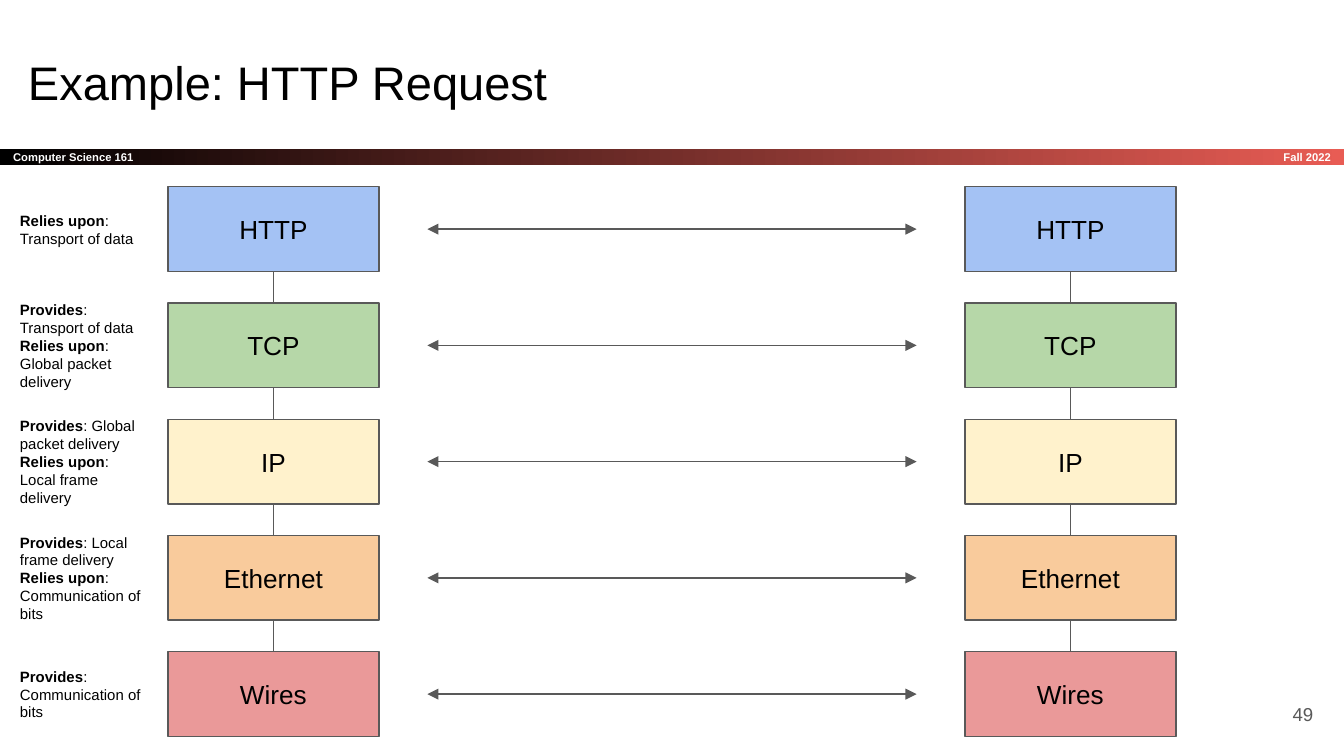
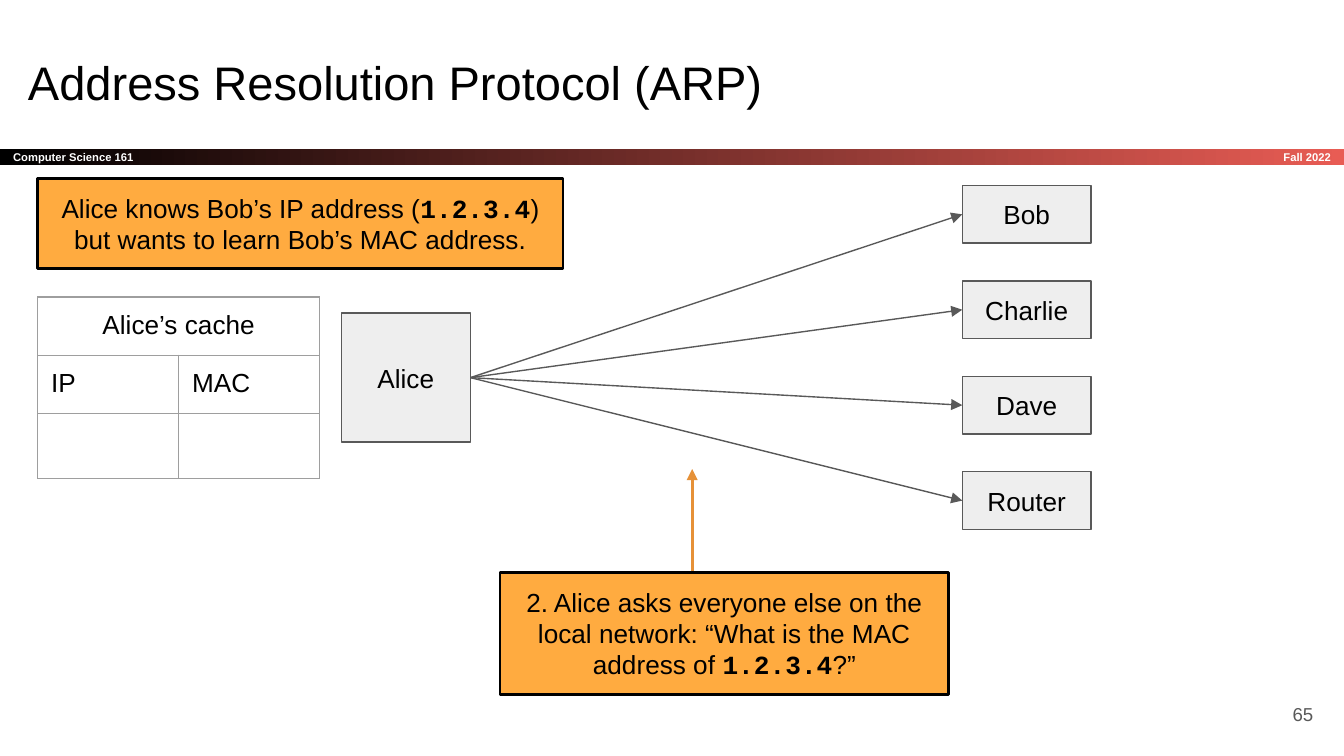
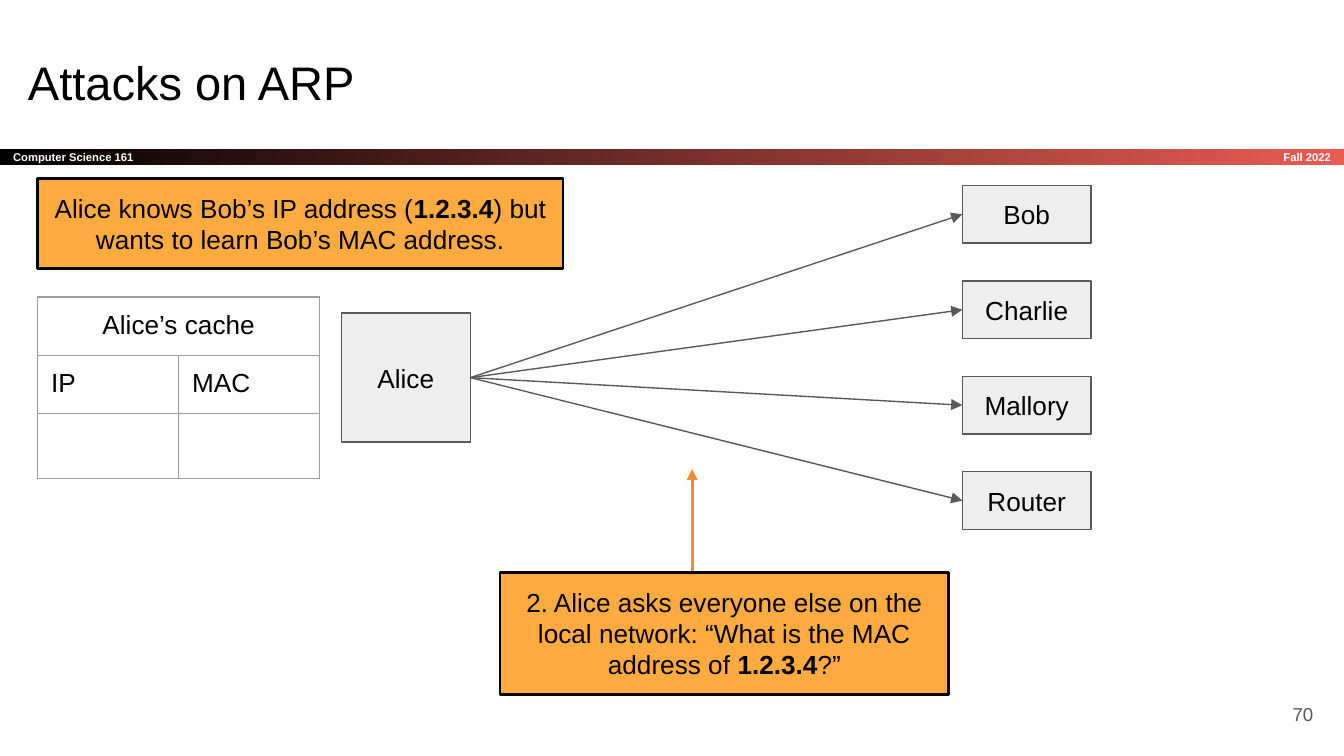
from dataclasses import dataclass
from itertools import pairwise

from lxml.etree import SubElement as Sub
from pptx import Presentation
from pptx.dml.color import RGBColor as Rgb
from pptx.enum.shapes import MSO_CONNECTOR as Conn, MSO_SHAPE as Kind
from pptx.enum.text import MSO_ANCHOR as Anchor, PP_ALIGN as Align
from pptx.oxml.ns import qn
from pptx.util import Inches as In, Pt


@dataclass(frozen=True)
class Theme:
    """Colours, type sizes and fonts of the deck."""
    ink: str = "000000"
    white: str = "FFFFFF"
    grey: str = "595959"
    red: str = "E85C54"
    host: str = "EEEEEE"
    note: str = "FFAB40"
    arrow: str = "E69138"
    grid: str = "9E9E9E"
    title: float = 25.2
    body: float = 14
    page: float = 10
    label: float = 8
    band: float = 6
    thin: float = 0.75
    thick: float = 1.5
    sans: str = "Arial"
    mono: str = "Courier New"


T = Theme()
LAYERS = [
    ("HTTP", "A4C2F4", ["**Relies upon**: Transport of data"]),
    ("TCP", "B6D7A8", ["**Provides**: Transport of data",
                       "**Relies upon**: Global packet delivery"]),
    ("IP", "FFF2CC", ["**Provides**: Global packet delivery",
                      "**Relies upon**: Local frame delivery"]),
    ("Ethernet", "F9CB9C", ["**Provides**: Local frame delivery",
                            "**Relies upon**: Communication of bits"]),
    ("Wires", "EA9999", ["**Provides**: Communication of bits"]),
]
KNOWS = "Alice knows Bob’s IP address (**1.2.3.4**) but wants to learn Bob’s MAC address."
ASKS = ("2. Alice asks everyone else on the local network: "
        "“What is the MAC address of **1.2.3.4**?”")


def apply(obj, form):
    """Set each attribute named in a dict of format values."""
    for key, val in form.items():
        setattr(obj, key, val)


def write(frame, lines, size=T.body, color=T.ink, align=Align.LEFT, bold=False, strong=T.sans):
    """Fill a text frame, with the parts between double stars in bold."""
    for n, line in enumerate(lines):
        para = frame.add_paragraph() if n else frame.paragraphs[0]
        para.alignment = align
        for i, part in enumerate(line.split("**")):
            if not part:
                continue
            run = para.add_run()
            run.text = part
            mark = i % 2 == 1
            apply(run.font, {"size": Pt(size), "bold": bold or mark,
                             "name": strong if mark else T.sans})
            run.font.color.rgb = Rgb.from_string(color)


def pad(obj):
    """Give a text frame or a cell even margins."""
    apply(obj, {f"margin_{side}": In(0.1) for side in ("left", "right", "top", "bottom")})


def set_frame(shape, lines, anchor=Anchor.MIDDLE, **form):
    """Lay out and fill the text of a shape."""
    frame = shape.text_frame
    pad(frame)
    apply(frame, {"word_wrap": True, "vertical_anchor": anchor})
    write(frame, lines, **form)


def add_text(slide, spot, lines, **form):
    """Add a text box at left, top, width, height."""
    set_frame(slide.shapes.add_textbox(*map(In, spot)), lines, **form)


def add_box(slide, spot, text, fill, edge=T.grey, width=T.thin, **form):
    """Add a filled box with centred text."""
    box = slide.shapes.add_shape(Kind.RECTANGLE, *map(In, spot))
    box.shadow.inherit = False
    box.fill.solid()
    box.fill.fore_color.rgb = Rgb.from_string(fill)
    box.line.color.rgb = Rgb.from_string(edge)
    box.line.width = Pt(width)
    set_frame(box, [text], align=Align.CENTER, **form)
    return box


def add_note(slide, spot, text, strong):
    """Add an orange callout."""
    add_box(slide, spot, text, T.note, T.ink, T.thick, anchor=Anchor.TOP, strong=strong)


def add_line(slide, start=(0, 0), end=(0, 0), color=T.grey, width=T.thin, tips=()):
    """Add a straight line with triangle tips at the named ends."""
    line = slide.shapes.add_connector(Conn.STRAIGHT, *map(In, (*start, *end)))
    line.line.color.rgb = Rgb.from_string(color)
    line.line.width = Pt(width)
    for tip in tips:
        Sub(line.line._get_or_add_ln(), qn(f"a:{tip}End"), type="triangle")
    Sub(line._element.spPr, qn("a:effectLst"))
    return line


def join(slide, first, out, last, into, **form):
    """Link two boxes at their numbered sites."""
    line = add_line(slide, **form)
    line.begin_connect(first, out)
    line.end_connect(last, into)


def edge_cell(cell):
    """Draw the four borders of a cell."""
    props = cell._tc.get_or_add_tcPr()
    for n, side in enumerate(("lnL", "lnR", "lnT", "lnB")):
        edge = props.makeelement(qn(f"a:{side}"), {"w": str(Pt(T.thin))})
        Sub(Sub(edge, qn("a:solidFill")), qn("a:srgbClr"), val=T.grid)
        props.insert(n, edge)


def add_cache(slide):
    """Add the table of Alice's cache."""
    rows = [("Alice’s cache", ""), ("IP", "MAC"), ("", "")]
    high = (0.43, 0.43, 0.48)
    spot = (0.28, 2.21, 2.1, sum(high))
    table = slide.shapes.add_table(3, 2, *map(In, spot)).table
    apply(table, {"first_row": False, "horz_banding": False})
    table.cell(0, 0).merge(table.cell(0, 1))
    for r, texts in enumerate(rows):
        table.rows[r].height = In(high[r])
        for c, text in enumerate(texts):
            cell = table.cell(r, c)
            cell.fill.background()
            edge_cell(cell)
            if text:
                pad(cell)
                write(cell.text_frame, [text], align=Align.LEFT if r else Align.CENTER)


def add_slide(deck, title, page):
    """Add a slide with title, band and page number."""
    slide = deck.slides.add_slide(deck.slide_layouts[6])
    band = slide.shapes.add_shape(Kind.RECTANGLE, *map(In, (0, 1.11, 10, 0.12)))
    band.shadow.inherit = False
    band.line.fill.background()
    band.fill.gradient()
    band.fill.gradient_angle = 0
    for stop, color in zip(band.fill.gradient_stops, (T.ink, T.red)):
        stop.color.rgb = Rgb.from_string(color)
    form = {"size": T.band, "color": T.white, "bold": True}
    set_frame(band, ["Computer Science 161"], **form)
    add_text(slide, (8.34, 1.11, 1.66, 0.12), ["Fall 2022"], align=Align.RIGHT, **form)
    add_text(slide, (0.11, 0.3, 9.32, 0.63), [title], size=T.title, anchor=Anchor.TOP)
    add_text(slide, (9.27, 5.1, 0.6, 0.43), [str(page)], size=T.page,
             color=T.grey, align=Align.RIGHT)
    return slide


def add_stack(slide, left, tops, high):
    """Add one column of linked layers."""
    boxes = [add_box(slide, (left, top, 1.57, high), name, fill)
             for top, (name, fill, _) in zip(tops, LAYERS)]
    for upper, lower in pairwise(boxes):
        join(slide, upper, 2, lower, 0)


def draw_http(deck):
    """Draw the two layer stacks of a request."""
    slide = add_slide(deck, "Example: HTTP Request", 49)
    high, step = 0.63, 3.46 / 4
    tops = [1.39 + step * n for n in range(len(LAYERS))]
    for left in (1.25, 7.18):
        add_stack(slide, left, tops, high)
    for top, (_, _, roles) in zip(tops, LAYERS):
        mid = top + high / 2
        add_line(slide, (3.18, mid), (6.82, mid), tips=("head", "tail"))
        add_text(slide, (0.05, top, 1.13, high), roles, size=T.label)


def draw_arp(deck, title, page, third, strong):
    """Draw Alice asking the hosts of her network."""
    slide = add_slide(deck, title, page)
    alice = add_box(slide, (2.54, 2.33, 0.96, 0.96), "Alice", T.host)
    for n, name in enumerate(("Bob", "Charlie", third, "Router")):
        host = add_box(slide, (7.16, 1.38 + 0.71 * n, 0.96, 0.43), name, T.host)
        join(slide, alice, 3, host, 1, tips=("tail",))
    add_cache(slide)
    add_line(slide, (5.15, 4.49), (5.15, 3.49), T.arrow, T.thick, ("tail",))
    add_note(slide, (3.72, 4.26, 3.34, 0.91), ASKS, strong)
    add_note(slide, (0.28, 1.33, 3.91, 0.67), KNOWS, strong)


def main():
    """Build and save the deck."""
    deck = Presentation()
    wide = In(10)
    apply(deck, {"slide_width": wide, "slide_height": wide * 9 // 16})
    draw_http(deck)
    draw_arp(deck, "Address Resolution Protocol (ARP)", 65, "Dave", T.mono)
    draw_arp(deck, "Attacks on ARP", 70, "Mallory", T.sans)
    deck.save("out.pptx")


if __name__ == "__main__":
    main()
